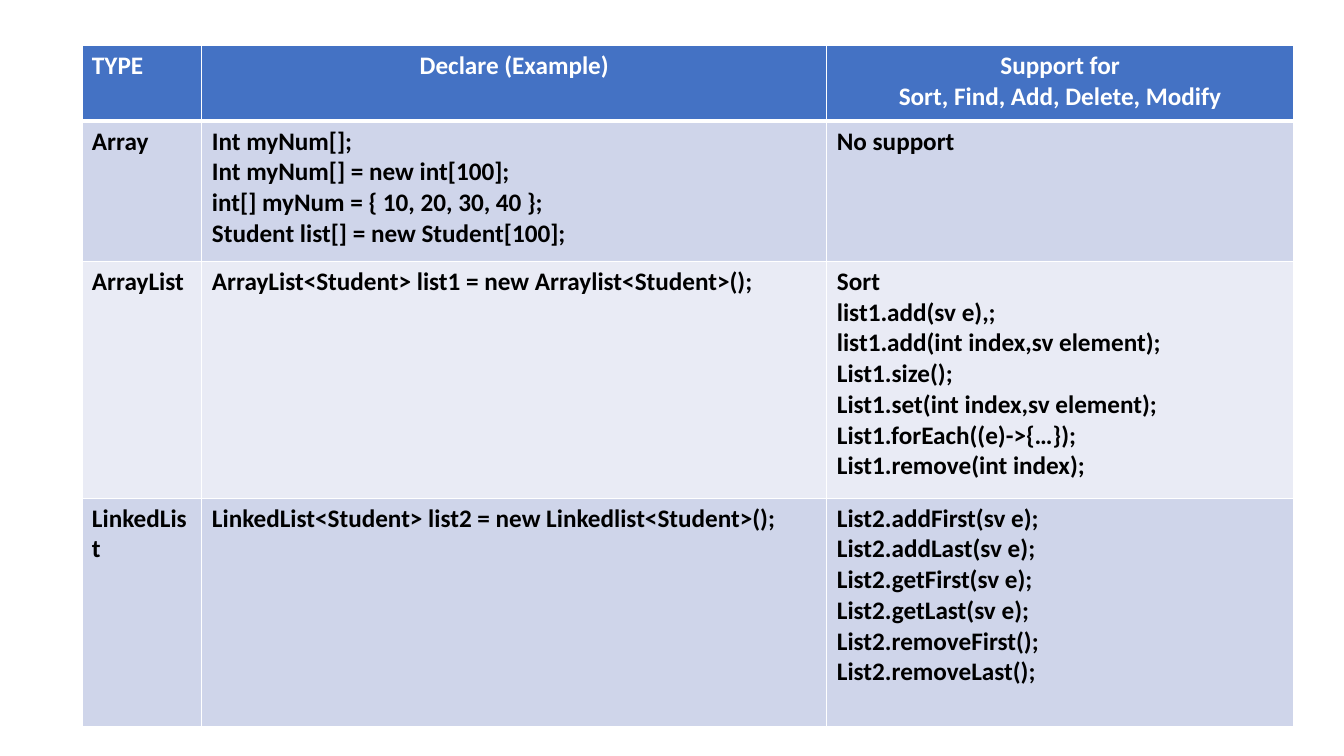
from pptx import Presentation
from pptx.dml.color import RGBColor as Rgb
from pptx.enum.text import PP_ALIGN as Align
from pptx.util import Pt
from lxml.etree import SubElement
from pptx.oxml.ns import qn

WHITE, BLACK, BLUE = "FFFFFF", "000000", "4472C4"
BANDS = ["CFD5EA", "E9EBF5"]
COLUMN_WIDTHS = [85.7, 446.4, 333.4]
ROW_HEIGHTS = [54, 100.1, 169.2, 163.2]

ROWS = [
    ["TYPE", "Declare (Example)", "Support for\nSort, Find, Add, Delete, Modify"],
    [
        "Array",
        "Int myNum[];\nInt myNum[] = new int[100];\n"
        "int[] myNum = { 10, 20, 30, 40 };\nStudent list[] = new Student[100];",
        "No support",
    ],
    [
        "ArrayList",
        "ArrayList<Student> list1 = new Arraylist<Student>();",
        "Sort\nlist1.add(sv e),;\nlist1.add(int index,sv element);\nList1.size();\n"
        "List1.set(int index,sv element);\nList1.forEach((e)->{…});\n"
        "List1.remove(int index);",
    ],
    [
        "LinkedList",
        "LinkedList<Student> list2 = new Linkedlist<Student>();",
        "List2.addFirst(sv e);\nList2.addLast(sv e);\nList2.getFirst(sv e);\n"
        "List2.getLast(sv e);\nList2.removeFirst();\nList2.removeLast();",
    ],
]


def color(value):
    return Rgb.from_string(value)


def set_borders(cell, widths):
    properties = cell._tc.get_or_add_tcPr()
    for side, width in widths.items():
        line = SubElement(properties, qn(f"a:ln{side}"), w=str(Pt(width)))
        fill = SubElement(line, qn("a:solidFill"))
        SubElement(fill, qn("a:srgbClr"), val=WHITE)


def fill_cell(cell, text, fill, text_color, align):
    cell.fill.solid()
    cell.fill.fore_color.rgb = color(fill)
    cell.text = text
    font_format = {"name": "Calibri", "size": Pt(18), "bold": True}
    for para in cell.text_frame.paragraphs:
        para.alignment = align
        for span in para.runs:
            for name, value in font_format.items():
                setattr(span.font, name, value)
            span.font.color.rgb = color(text_color)


def add_comparison_table(slide, left, top):
    size = Pt(sum(COLUMN_WIDTHS)), Pt(sum(ROW_HEIGHTS))
    frame = slide.shapes.add_table(
        len(ROWS), len(COLUMN_WIDTHS), Pt(left), Pt(top), *size)
    table = frame.table
    for column, width in zip(table.columns, COLUMN_WIDTHS):
        column.width = Pt(width)
    for row, height in zip(table.rows, ROW_HEIGHTS):
        row.height = Pt(height)

    for r, texts in enumerate(ROWS):
        header = r == 0
        # Thicker rule between the header and the first body row
        borders = {"L": 1, "R": 1, "T": 3 if r == 1 else 1, "B": 3 if header else 1}
        fill = BLUE if header else BANDS[(r - 1) % 2]
        text_color = WHITE if header else BLACK
        for c, text in enumerate(texts):
            cell = table.cell(r, c)
            set_borders(cell, borders)
            align = Align.CENTER if header and c else Align.LEFT
            fill_cell(cell, text, fill, text_color, align)


def main():
    deck = Presentation()
    deck.slide_width, deck.slide_height = Pt(960), Pt(540)
    page = deck.slides.add_slide(deck.slide_layouts[6])
    # Comparison of collection types
    add_comparison_table(page, left=58.5, top=32.5)
    deck.save("out.pptx")


if __name__ == "__main__":
    main()
